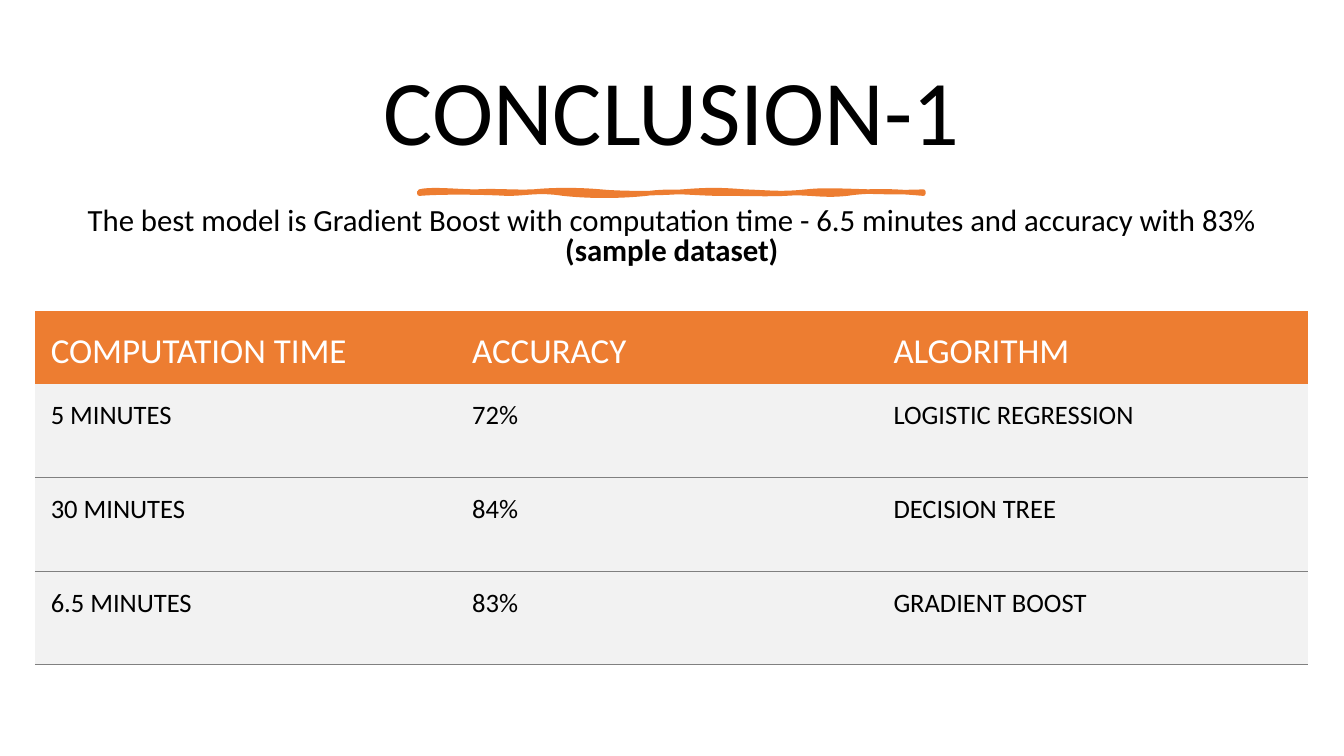
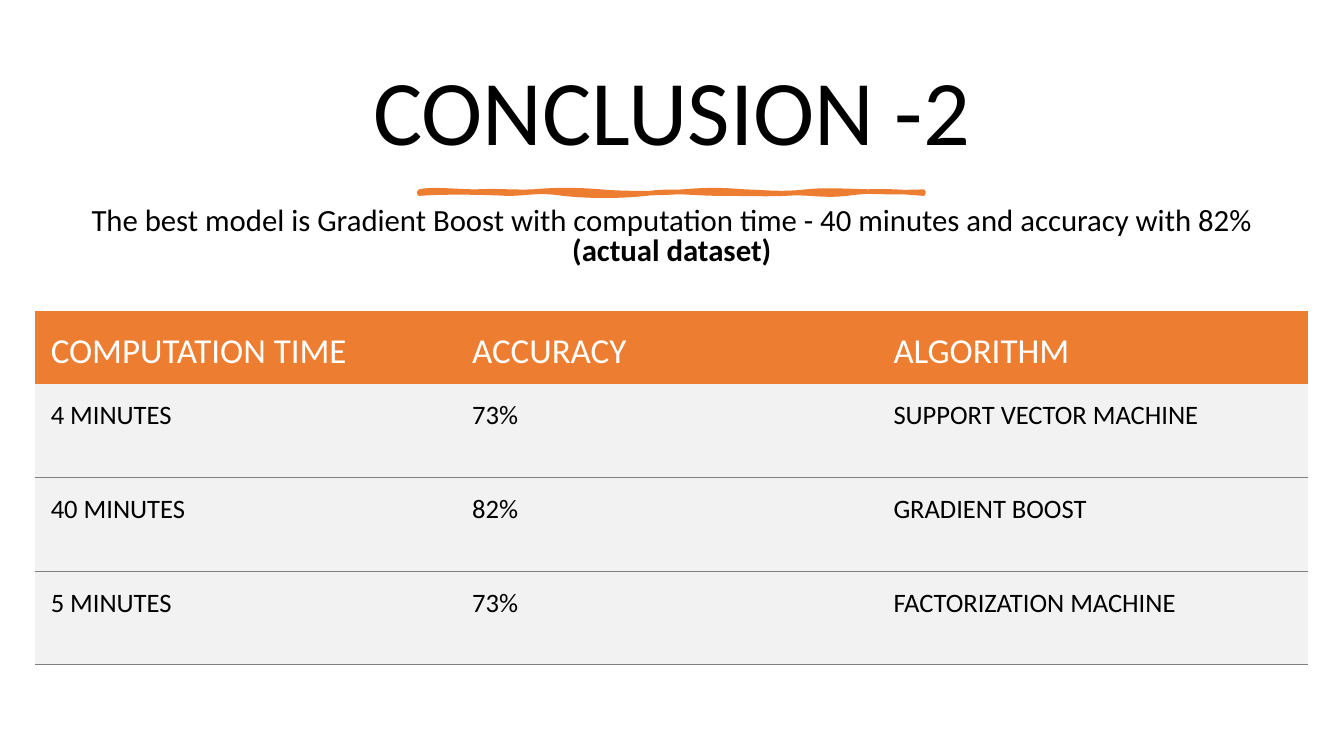
from lxml import etree
from pptx import Presentation, util as u
from pptx.dml.color import RGBColor
from pptx.enum import text
from pptx.oxml import parse_xml
from pptx.oxml.ns import nsdecls, qn

ORANGE, GRAY, PALE, BLACK, WHITE = "ED7D31", "808080", "F2F2F2", "000000", "FFFFFF"
TITLE_FORMAT = {"name": "Calibri", "size": u.Pt(66), "bold": False}
BODY_FORMAT = {"name": "Calibri", "size": u.Pt(22)}
HEADER_FORMAT = {"name": "Calibri", "size": u.Pt(25), "bold": False}
CELL_FORMAT = {"name": "Calibri", "size": u.Pt(19), "bold": False}
NO_STYLE = "{2D5ABB26-0587-4C30-8999-92F81FD0307C}"

HEADER = ("COMPUTATION TIME", "ACCURACY", "ALGORITHM")
COLUMN_WIDTHS = (10.62, 10.62, 10.84)
ROW_HEIGHTS = (1.83, 2.36, 2.36, 2.36)
MARGINS = {"margin_left": 0.4, "margin_top": 0.4, "margin_right": 0.4, "margin_bottom": 0.2}

# Wavy rule: start point, then two control points and an end point per curve, in cm
RULE_START = (10.57, 4.83)
RULE_CURVES = (
    (10.87, 4.75, 11.53, 4.83, 12.01, 4.83),
    (12.5, 4.8, 12.93, 4.85, 13.44, 4.83),
    (13.94, 4.78, 14.58, 4.78, 15.14, 4.83),
    (15.67, 4.88, 16.59, 4.88, 17.2, 4.83),
    (17.83, 4.78, 18.14, 4.78, 18.77, 4.83),
    (19.38, 4.85, 19.66, 4.9, 20.32, 4.83),
    (20.98, 4.75, 22.02, 4.88, 23.27, 4.83),
    (23.29, 4.85, 23.27, 4.85, 23.27, 4.88),
    (22.73, 4.83, 21.97, 4.78, 21.34, 4.88),
    (20.7, 4.95, 20.35, 4.83, 19.79, 4.88),
    (19.2, 4.9, 18.97, 4.88, 18.21, 4.88),
    (17.45, 4.88, 16.94, 4.78, 16.28, 4.88),
    (15.6, 4.95, 14.86, 4.95, 14.2, 4.88),
    (13.56, 4.78, 13.28, 4.88, 12.78, 4.88),
    (12.27, 4.85, 11.13, 4.83, 10.57, 4.88),
)

SLIDES = (
    ("CONCLUSION-1",
     "The best model is Gradient Boost with computation time - 6.5 minutes and accuracy with 83% ",
     "(sample dataset)",
     (("5 MINUTES", "72%", "LOGISTIC REGRESSION"),
      ("30 MINUTES", "84%", "DECISION TREE"),
      ("6.5 MINUTES", "83%", "GRADIENT BOOST"))),
    ("CONCLUSION -2",
     "The best model is Gradient Boost with computation time - 40 minutes and accuracy with 82% ",
     "(actual dataset)",
     (("4 MINUTES", "73%", "SUPPORT VECTOR MACHINE"),
      ("40 MINUTES", "82%", "GRADIENT BOOST"),
      ("5 MINUTES", "73%", "FACTORIZATION MACHINE"))),
)


def color(value):
    return RGBColor.from_string(value)


def format_font(font, values, font_color):
    for name, value in values.items():
        setattr(font, name, value)
    font.color.rgb = color(font_color)


presentation = Presentation()
presentation.slide_width, presentation.slide_height = u.Cm(33.87), u.Cm(19.05)
layout = presentation.slide_layouts[1]

# Shared places of title and body
for placeholder, top, height in zip(layout.placeholders, (1.16, 5.04), (3.48, 1.9)):
    placeholder.left, placeholder.width = u.Cm(1.78), u.Cm(30.3)
    placeholder.top, placeholder.height = u.Cm(top), u.Cm(height)

for title, summary, dataset, rows in SLIDES:
    slide = presentation.slides.add_slide(layout)

    # Title and summary
    slide.shapes.title.text = title
    body = slide.placeholders[1]
    body.text = summary
    body.text_frame.paragraphs[0].add_run().text = dataset
    for shape, spacing, values in ((slide.shapes.title, 0.9, TITLE_FORMAT), (body, 0.8, BODY_FORMAT)):
        shape.text_frame.auto_size = text.MSO_AUTO_SIZE.NONE
        shape.text_frame.vertical_anchor = text.MSO_ANCHOR.MIDDLE
        paragraph = shape.text_frame.paragraphs[0]
        paragraph.alignment = text.PP_ALIGN.CENTER
        paragraph.line_spacing = spacing
        paragraph.space_before = u.Pt(0)
        for run in paragraph.runs:
            format_font(run.font, values, BLACK)
    properties = body.text_frame.paragraphs[0]._p.get_or_add_pPr()
    properties.set("marL", "0")
    properties.set("indent", "0")
    etree.SubElement(properties, qn("a:buNone"))
    body.text_frame.paragraphs[0].runs[1].font.bold = True

    # Wavy rule: each straight segment becomes a curve
    builder = slide.shapes.build_freeform(u.Cm(RULE_START[0]), u.Cm(RULE_START[1]))
    builder.add_line_segments([(u.Cm(curve[4]), u.Cm(curve[5])) for curve in RULE_CURVES], close=True)
    rule = builder.convert_to_shape()
    segments = list(rule._element.iter(qn("a:lnTo")))
    for segment, curve in zip(segments, RULE_CURVES):
        bezier = etree.Element(qn("a:cubicBezTo"))
        for x, y in zip(curve[::2], curve[1::2]):
            etree.SubElement(bezier, qn("a:pt"), x=str(u.Cm(x) - rule.left), y=str(u.Cm(y) - rule.top))
        segment.getparent().replace(segment, bezier)
    rule.shadow.inherit = False
    rule.fill.solid()
    rule.fill.fore_color.rgb = color(ORANGE)
    rule.line.color.rgb = color(ORANGE)
    rule.line.width = u.Pt(3.25)
    etree.SubElement(rule.line._get_or_add_ln(), qn("a:round"))

    # Results table
    table = slide.shapes.add_table(
        len(ROW_HEIGHTS), len(COLUMN_WIDTHS), u.Cm(0.88), u.Cm(7.84),
        u.Cm(sum(COLUMN_WIDTHS)), u.Cm(sum(ROW_HEIGHTS))).table
    table.first_row = table.horz_banding = False
    table._tbl.tblPr.find(qn("a:tableStyleId")).text = NO_STYLE
    for column, width in zip(table.columns, COLUMN_WIDTHS):
        column.width = u.Cm(width)
    for index, (row, height, labels) in enumerate(zip(table.rows, ROW_HEIGHTS, (HEADER, *rows))):
        row.height = u.Cm(height)
        for cell, label in zip(row.cells, labels):
            cell.text = label
            for side, margin in MARGINS.items():
                setattr(cell, side, u.Cm(margin))
            cell.fill.solid()
            cell.fill.fore_color.rgb = color(PALE if index else ORANGE)
            font = cell.text_frame.paragraphs[0].runs[0].font
            if index == 0:
                cell.vertical_anchor = text.MSO_ANCHOR.MIDDLE
                format_font(font, HEADER_FORMAT, WHITE)
                continue
            format_font(font, CELL_FORMAT, BLACK)
            cell._tc.get_or_add_tcPr().insert(0, parse_xml(
                f'<a:lnB {nsdecls("a")} w="{u.Pt(0.75)}"><a:solidFill>'
                f'<a:srgbClr val="{GRAY}"/></a:solidFill></a:lnB>'))

presentation.save("out.pptx")
